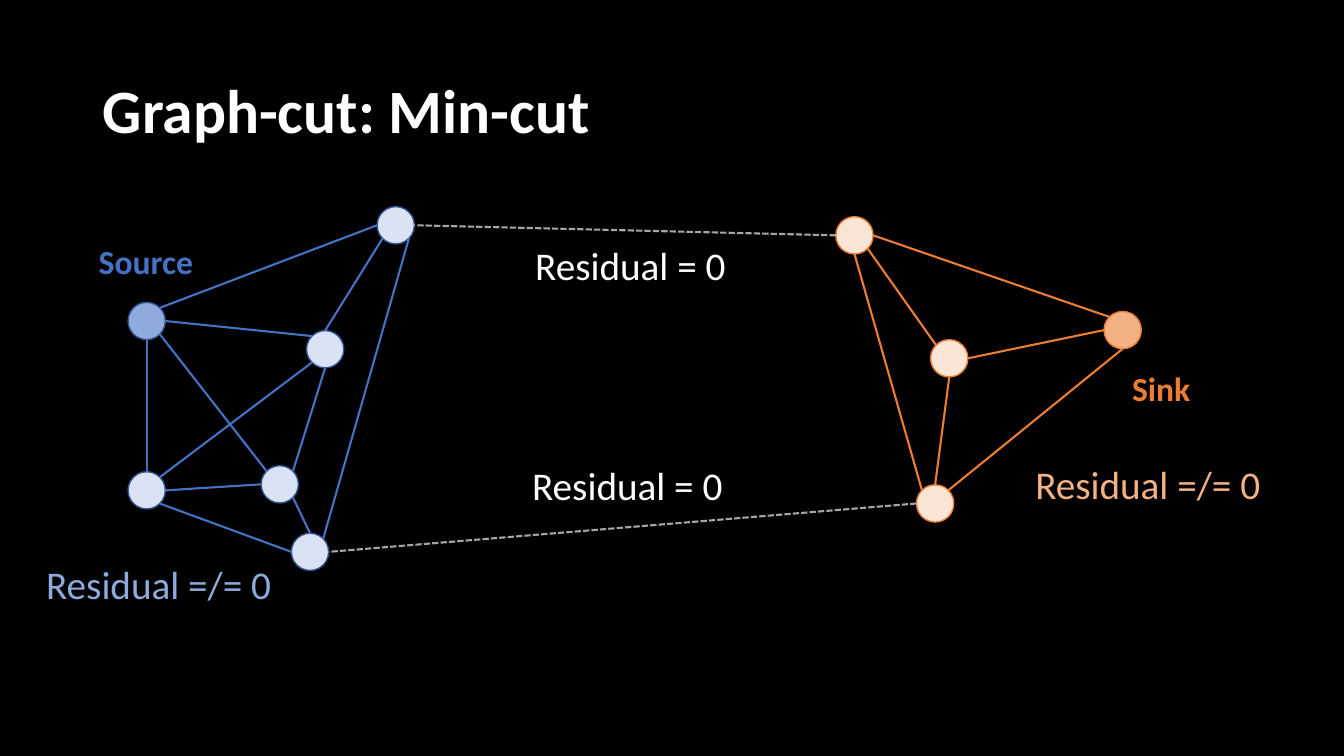
import math
from typing import NamedTuple

import pptx
import pptx.dml.color
import pptx.enum.dml
import pptx.enum.shapes
import pptx.enum.text
import pptx.oxml.ns
import pptx.util
from lxml import etree
from pptx.util import Inches

FONT = "Calibri"
WHITE = "FFFFFF"
BLUE, NAVY, SKY, PALE = "4472C4", "325491", "8FAADC", "DAE3F3"
ORANGE, PEACH, CREAM = "ED7D31", "F4B183", "FBE5D6"
GREY = "A6A6A6"
SIZE = 0.37
SITES = ["N", "NW", "W", "SW", "S", "SE", "E", "NE"]


class Node(NamedTuple):
    name: str
    left: float
    top: float
    fill: str
    line: str


class Edge(NamedTuple):
    start: str
    exit: str
    end: str
    entry: str
    color: str


class Label(NamedTuple):
    text: str
    left: float
    top: float
    width: float
    height: float
    size: int
    color: str
    bold: bool = False


NODES = [
    Node("source", 1.27, 3, SKY, NAVY),
    Node("low", 1.27, 4.68, PALE, NAVY),
    Node("mid", 3.04, 3.28, PALE, NAVY),
    Node("inner", 2.59, 4.62, PALE, NAVY),
    Node("base", 2.89, 5.29, PALE, NAVY),
    Node("peak", 3.74, 2.05, PALE, NAVY),
    Node("roof", 8.29, 2.15, CREAM, ORANGE),
    Node("sink", 10.95, 3.09, PEACH, ORANGE),
    Node("floor", 9.09, 4.81, CREAM, ORANGE),
    Node("core", 9.23, 3.37, CREAM, ORANGE),
]

EDGES = [
    # Source side
    Edge("source", "E", "mid", "NW", BLUE),
    Edge("low", "NE", "mid", "SW", BLUE),
    Edge("source", "S", "low", "N", BLUE),
    Edge("low", "SE", "base", "W", BLUE),
    Edge("low", "E", "inner", "W", BLUE),
    Edge("peak", "SE", "base", "NE", BLUE),
    Edge("inner", "SE", "base", "N", BLUE),
    Edge("inner", "NE", "mid", "S", BLUE),
    Edge("mid", "N", "peak", "SW", BLUE),
    Edge("source", "SE", "inner", "NW", BLUE),
    Edge("source", "NE", "peak", "W", BLUE),
    # Sink side
    Edge("sink", "W", "core", "E", ORANGE),
    Edge("core", "S", "floor", "N", ORANGE),
    Edge("roof", "SE", "core", "NW", ORANGE),
    Edge("roof", "S", "floor", "NW", ORANGE),
    Edge("sink", "S", "floor", "NE", ORANGE),
    Edge("sink", "NW", "roof", "E", ORANGE),
    # Cut
    Edge("roof", "W", "peak", "E", GREY),
    Edge("floor", "W", "base", "E", GREY),
]

LABELS = [
    Label("Source", 0.88, 2.34, 1.15, 0.5, 24, BLUE, True),
    Label("Sink", 11.13, 3.6, 0.79, 0.5, 24, ORANGE, True),
    Label("Residual = 0", 5.21, 2.34, 2.11, 0.57, 28, WHITE),
    Label("Residual = 0", 5.18, 4.53, 2.11, 0.57, 28, WHITE),
    Label("Residual =/= 0", 10.17, 4.52, 2.46, 0.57, 28, PEACH),
    Label("Residual =/= 0", 0.36, 5.51, 2.46, 0.57, 28, SKY),
]


def paint(target, color: str) -> None:
    """Color a fill or a font."""
    if hasattr(target, "solid"):
        target.solid()
        target.fore_color.rgb = pptx.dml.color.RGBColor.from_string(color)
    else:
        target.color.rgb = pptx.dml.color.RGBColor.from_string(color)


def style(frame, size: int, color: str, bold: bool) -> None:
    font = frame.paragraphs[0].runs[0].font
    font.name, font.size, font.bold = FONT, pptx.util.Pt(size), bold
    paint(font, color)


def add_node(slide, node: Node):
    oval = slide.shapes.add_shape(
        pptx.enum.shapes.MSO_SHAPE.OVAL,
        Inches(node.left), Inches(node.top), Inches(SIZE), Inches(SIZE))
    oval.shadow.inherit = False
    paint(oval.fill, node.fill)
    paint(oval.line.fill, node.line)
    oval.line.width = pptx.util.Pt(1)
    return oval


def locate(oval, site: str) -> tuple[int, int]:
    """Find a compass site on the rim of a circle."""
    angle = math.radians(45 * SITES.index(site))
    half = oval.width / 2
    return (round(oval.left + half * (1 - math.sin(angle))),
            round(oval.top + half * (1 - math.cos(angle))))


def add_edge(slide, edge: Edge, ovals: dict) -> None:
    start, end = ovals[edge.start], ovals[edge.end]
    link = slide.shapes.add_connector(
        pptx.enum.shapes.MSO_CONNECTOR.STRAIGHT,
        *locate(start, edge.exit), *locate(end, edge.entry))
    paint(link.line.fill, edge.color)
    link.line.width = pptx.util.Pt(1.5)
    if edge.color == GREY:
        link.line.dash_style = pptx.enum.dml.MSO_LINE.SQUARE_DOT
    qn = pptx.oxml.ns.qn
    etree.SubElement(link._element.spPr, qn("a:effectLst"))
    # Circles have eight sites, so join them by index
    joint = link._element.find(".//" + qn("p:cNvCxnSpPr"))
    for tag, oval, site in (("a:stCxn", start, edge.exit),
                            ("a:endCxn", end, edge.entry)):
        etree.SubElement(joint, qn(tag), id=str(oval.shape_id),
                         idx=str(SITES.index(site)))


def add_label(slide, label: Label) -> None:
    box = slide.shapes.add_textbox(
        Inches(label.left), Inches(label.top),
        Inches(label.width), Inches(label.height))
    frame = box.text_frame
    frame.text = label.text
    frame.word_wrap = False
    frame.auto_size = pptx.enum.text.MSO_AUTO_SIZE.SHAPE_TO_FIT_TEXT
    style(frame, label.size, label.color, label.bold)


def add_title(slide, text: str) -> None:
    title = slide.shapes.title
    title.left, title.top = Inches(0.92), Inches(0.4)
    title.width, title.height = Inches(11.5), Inches(1.45)
    frame = title.text_frame
    frame.text = text
    frame.vertical_anchor = pptx.enum.text.MSO_ANCHOR.MIDDLE
    frame.paragraphs[0].alignment = pptx.enum.text.PP_ALIGN.LEFT
    frame.paragraphs[0].line_spacing = 0.9
    style(frame, 44, WHITE, True)


def main() -> None:
    deck = pptx.Presentation()
    deck.slide_width, deck.slide_height = Inches(13.33), Inches(7.5)
    slide = deck.slides.add_slide(deck.slide_layouts[5])
    paint(slide.background.fill, "000000")
    add_title(slide, "Graph-cut: Min-cut")

    # Graph
    ovals = {node.name: add_node(slide, node) for node in NODES}
    for edge in EDGES:
        add_edge(slide, edge, ovals)

    # Labels
    for label in LABELS:
        add_label(slide, label)
    deck.save("out.pptx")


if __name__ == "__main__":
    main()
